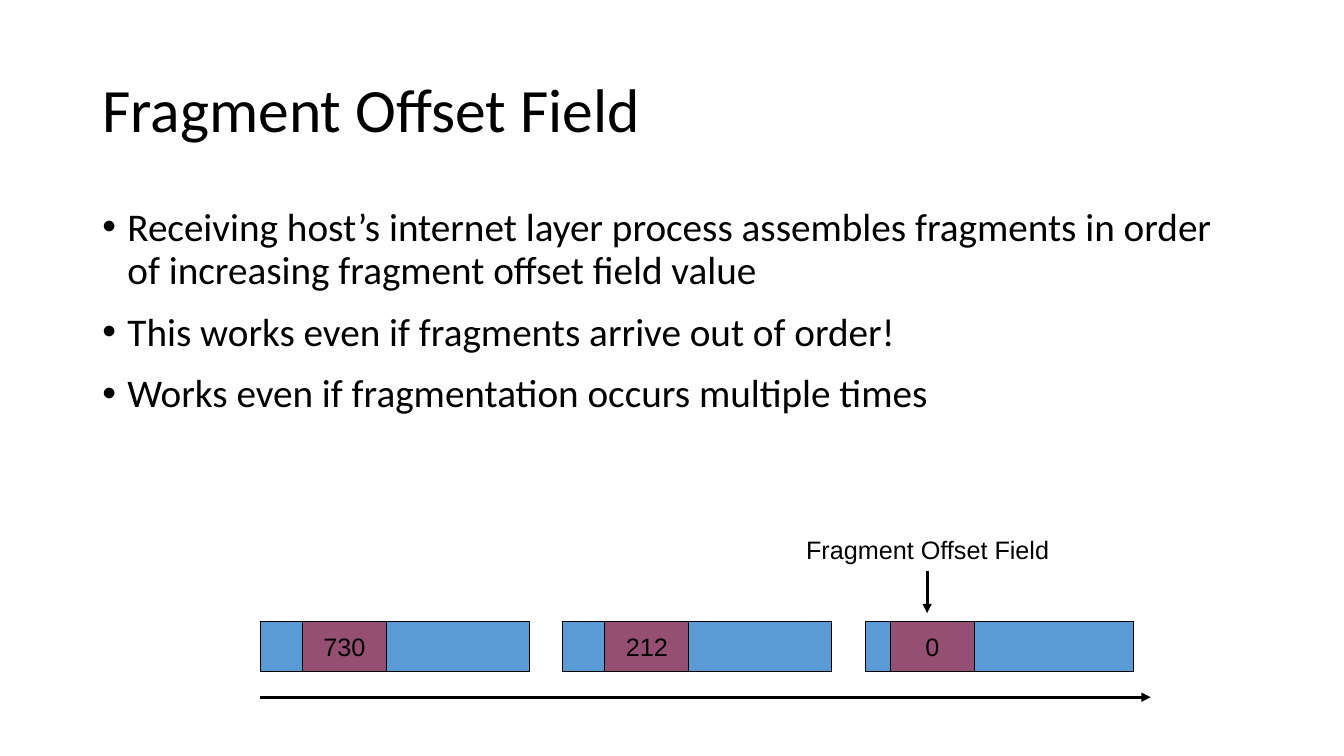
from dataclasses import dataclass

from lxml.etree import SubElement
from pptx import Presentation
from pptx.dml.color import RGBColor
from pptx.enum.shapes import MSO_CONNECTOR as Connector, MSO_SHAPE as Shape
from pptx.enum.text import MSO_ANCHOR as Anchor, PP_ALIGN as Align
from pptx.oxml.ns import qn
from pptx.util import Emu, Pt

EMU_PER_PX = 9525


@dataclass(frozen=True)
class Theme:
    ink: RGBColor = RGBColor(0x00, 0x00, 0x00)
    packet: RGBColor = RGBColor(0x5B, 0x9B, 0xD5)
    offset: RGBColor = RGBColor(0x95, 0x4F, 0x72)
    text_font: str = "Calibri"
    diagram_font: str = "Arial"
    title_size: int = 44
    bullet_size: int = 28
    diagram_size: int = 18
    outline: float = 0.75
    arrow: float = 2.25


THEME = Theme()

BULLETS = [
    "Receiving host’s internet layer process assembles fragments in order "
    "of increasing fragment offset field value",
    "This works even if fragments arrive out of order!",
    "Works even if fragmentation occurs multiple times",
]

# Offset value and the distance of its field from the packet's left edge
PACKETS = [("730", 40), ("212", 40), ("0", 24)]
PACKET_LEFT, PACKET_TOP, PACKET_STEP = 248, 592, 288
PACKET_WIDTH, PACKET_HEIGHT, OFFSET_WIDTH = 256, 48, 80


def px(*lengths):
    return [Emu(length * EMU_PER_PX) for length in lengths]


def style_runs(paragraph, font, size):
    for run in paragraph.runs:
        run.font.name = font
        run.font.size = Pt(size)
        run.font.color.rgb = THEME.ink


def add_label(slide, box, text, font, size, align=Align.LEFT,
              anchor=Anchor.TOP, wrap=True):
    text_frame = slide.shapes.add_textbox(*px(*box)).text_frame
    text_frame.word_wrap = wrap
    text_frame.vertical_anchor = anchor
    text_frame.text = text
    for paragraph in text_frame.paragraphs:
        paragraph.alignment = align
        style_runs(paragraph, font, size)
    return text_frame


def add_bullets(slide, box, items):
    text_frame = add_label(slide, box, "\n".join(items),
                           THEME.text_font, THEME.bullet_size)
    indent = px(24)[0]
    for paragraph in text_frame.paragraphs:
        paragraph.line_spacing = 0.92
        paragraph.space_before = Pt(13)
        properties = paragraph._p.get_or_add_pPr()
        properties.set("marL", str(indent))
        properties.set("indent", str(-indent))
        SubElement(properties, qn("a:buFont"), typeface=THEME.diagram_font)
        SubElement(properties, qn("a:buChar"), char="•")


def add_block(slide, box, fill, text=""):
    block = slide.shapes.add_shape(Shape.RECTANGLE, *px(*box))
    block.shadow.inherit = False
    block.fill.solid()
    block.fill.fore_color.rgb = fill
    block.line.color.rgb = THEME.ink
    block.line.width = Pt(THEME.outline)
    if text:
        text_frame = block.text_frame
        text_frame.word_wrap = False
        text_frame.vertical_anchor = Anchor.MIDDLE
        text_frame.text = text
        paragraph = text_frame.paragraphs[0]
        paragraph.alignment = Align.CENTER
        style_runs(paragraph, THEME.diagram_font, THEME.diagram_size)


def add_packet(slide, left, value, field_shift):
    add_block(slide, (left, PACKET_TOP, PACKET_WIDTH, PACKET_HEIGHT),
              THEME.packet)
    add_block(slide, (left + field_shift, PACKET_TOP, OFFSET_WIDTH,
                      PACKET_HEIGHT), THEME.offset, value)


def add_arrow(slide, *ends):
    arrow = slide.shapes.add_connector(Connector.STRAIGHT, *px(*ends))
    arrow.line.color.rgb = THEME.ink
    arrow.line.width = Pt(THEME.arrow)
    SubElement(arrow.line._get_or_add_ln(), qn("a:tailEnd"), type="triangle")
    SubElement(arrow._element.spPr, qn("a:effectLst"))


def main():
    presentation = Presentation()
    presentation.slide_width, presentation.slide_height = px(1280, 720)
    slide = presentation.slides.add_slide(presentation.slide_layouts[6])

    title = add_label(slide, (88, 38, 1104, 139), "Fragment Offset Field",
                      THEME.text_font, THEME.title_size, anchor=Anchor.MIDDLE)
    title.paragraphs[0].line_spacing = 0.9
    add_bullets(slide, (88, 192, 1104, 457), BULLETS)

    for index, (value, field_shift) in enumerate(PACKETS):
        add_packet(slide, PACKET_LEFT + index * PACKET_STEP, value, field_shift)
    add_arrow(slide, PACKET_LEFT, 664, 1096, 664)

    add_label(slide, (757, 504, 253, 38), "Fragment Offset Field",
              THEME.diagram_font, THEME.diagram_size, Align.CENTER, wrap=False)
    add_arrow(slide, 883, 544, 883, 584)

    presentation.save("out.pptx")


if __name__ == "__main__":
    main()
